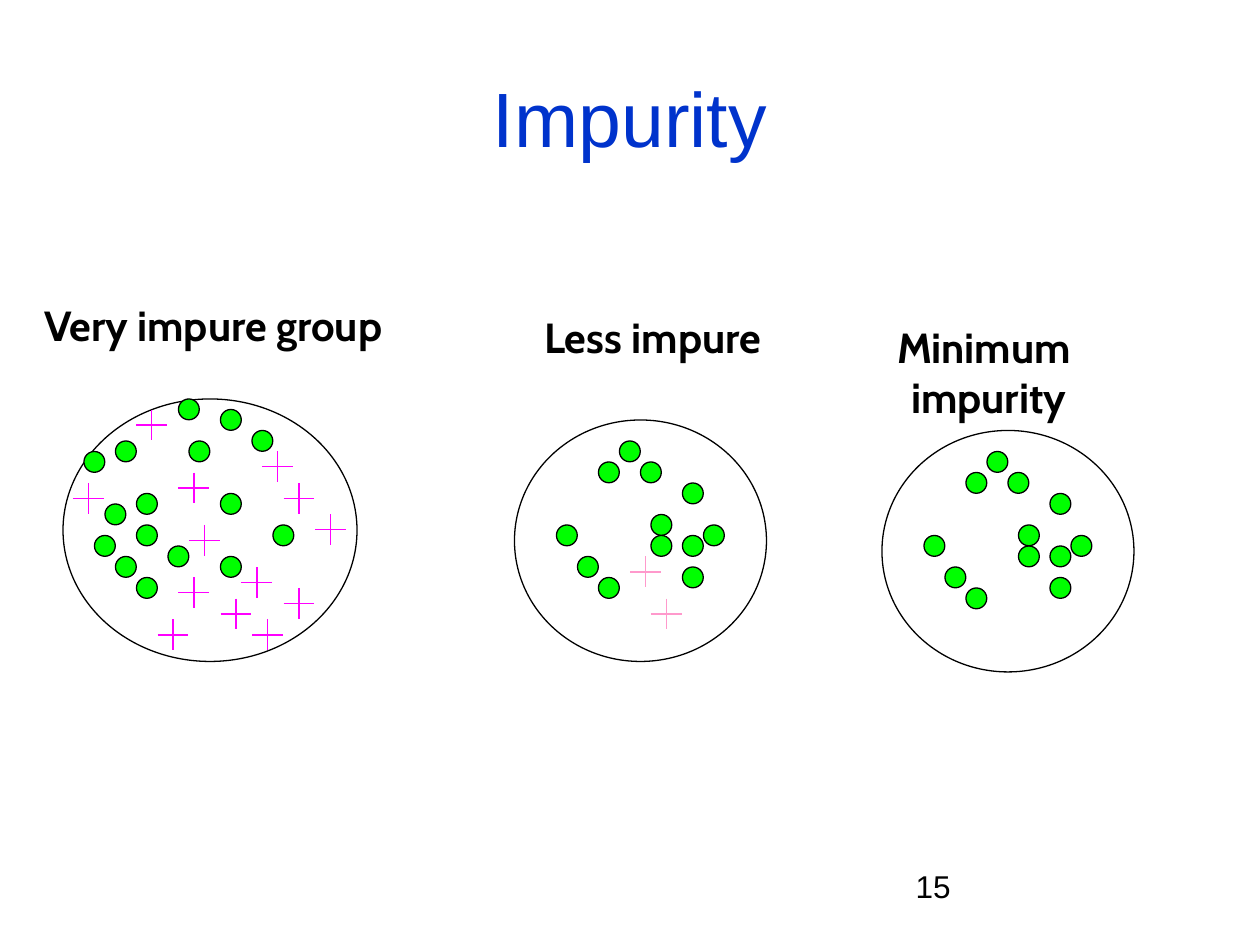
from lxml import etree
from pptx import Presentation, util as u
from pptx.dml.color import RGBColor
from pptx.enum import shapes, text
from pptx.oxml.ns import qn

Cm = u.Cm
BLACK = RGBColor(0x00, 0x00, 0x00)
TITLE_BLUE = RGBColor(0x00, 0x33, 0xCC)
GREEN = RGBColor(0x00, 0xFF, 0x00)
MAGENTA = RGBColor(0xFF, 0x00, 0xFF)
PINK = RGBColor(0xFF, 0x99, 0xCC)

STEP = Cm(2.54) // 12  # grid on which all circles, dots and crosses sit
DOT = Cm(0.42)
CROSS = Cm(0.62)
THIN = u.Pt(0.75)

deck = Presentation()
deck.slide_width, deck.slide_height = Cm(25.4), Cm(19.05)
slide = deck.slides.add_slide(deck.slide_layouts[6])


def add_text(words, left, top, width, height, size=24, font="Cabin", color=BLACK,
             bold=False, align=text.PP_ALIGN.LEFT, anchor=text.MSO_ANCHOR.TOP,
             wrap=True, fit=text.MSO_AUTO_SIZE.NONE):
    frame = slide.shapes.add_textbox(Cm(left), Cm(top), Cm(width), Cm(height)).text_frame
    frame.word_wrap, frame.auto_size, frame.vertical_anchor = wrap, fit, anchor
    frame.text = words
    for line in frame.paragraphs:
        line.alignment = align
        for run in line.runs:
            run.font.size, run.font.name, run.font.bold = u.Pt(size), font, bold
            run.font.color.rgb = color


def add_ellipse(group, left, top, width, height, fill=None):
    ellipse = group.shapes.add_shape(shapes.MSO_SHAPE.OVAL, left, top, width, height)
    ellipse.shadow.inherit = False
    ellipse.line.color.rgb, ellipse.line.width = BLACK, THIN
    if fill is None:
        ellipse.fill.background()
    else:
        ellipse.fill.solid()
        ellipse.fill.fore_color.rgb = fill


# Title and page number
add_text("Impurity", 1.27, 0.76, 22.86, 3.18, size=44, font="Arial", color=TITLE_BLUE,
         align=text.PP_ALIGN.CENTER, anchor=text.MSO_ANCHOR.MIDDLE)
add_text("15", 18.21, 17.35, 5.92, 1.32, size=18, font="Arial")

# Group labels
label = dict(bold=True, fit=text.MSO_AUTO_SIZE.SHAPE_TO_FIT_TEXT)
add_text("Very impure group", 0.64, 5.92, 8.46, 1.27, wrap=False, **label)
add_text("Less impure ", 10.34, 6.15, 5.82, 2.29, wrap=False,
         align=text.PP_ALIGN.CENTER, **label)
add_text("Minimum \nimpurity", 17.15, 6.35, 5.56, 2.29,
         align=text.PP_ALIGN.CENTER, **label)

# Members of each group, in grid steps from the corner of its circle
mixed_dots = [(20, 12), (15, 9), (5, 4), (3, 13), (7, 12), (15, 1), (11, 0), (12, 4),
              (18, 3), (15, 15), (5, 15), (7, 17), (10, 14), (7, 9), (4, 10), (2, 5)]
mixed_crosses = [(7, 1), (11, 7), (11, 17), (19, 5), (1, 8), (15, 19), (9, 21),
                 (21, 18), (12, 12), (17, 16), (18, 21), (21, 8), (24, 11)]
pure_dots = [(10, 2), (16, 11), (13, 11), (8, 4), (16, 14), (16, 6), (4, 10),
             (6, 13), (8, 15), (12, 4), (13, 9), (18, 10)]
few_crosses = [(11, 13), (13, 17)]

# Circles: corner and size in grid steps, then the members
groups = [
    (6, 38, 28, 25, mixed_dots, mixed_crosses, MAGENTA),
    (49, 40, 24, 23, pure_dots, few_crosses, PINK),
    (84, 41, 24, 23, pure_dots, [], PINK),
]
for left, top, width, height, dots, crosses, cross_color in groups:
    group = slide.shapes.add_group_shape()
    add_ellipse(group, left * STEP, top * STEP, width * STEP, height * STEP)
    for column, row in dots:
        add_ellipse(group, (left + column) * STEP, (top + row) * STEP, DOT, DOT, GREEN)
    for column, row in crosses:
        x, y = (left + column) * STEP, (top + row) * STEP
        middle_x, middle_y = x + CROSS // 2, y + CROSS // 2
        for ends in ((x, middle_y, x + CROSS, middle_y),
                     (middle_x, y, middle_x, y + CROSS)):
            arm = group.shapes.add_connector(shapes.MSO_CONNECTOR.STRAIGHT, *ends)
            arm.line.color.rgb, arm.line.width = cross_color, THIN
            etree.SubElement(arm._element.spPr, qn("a:effectLst"))

deck.save("out.pptx")
